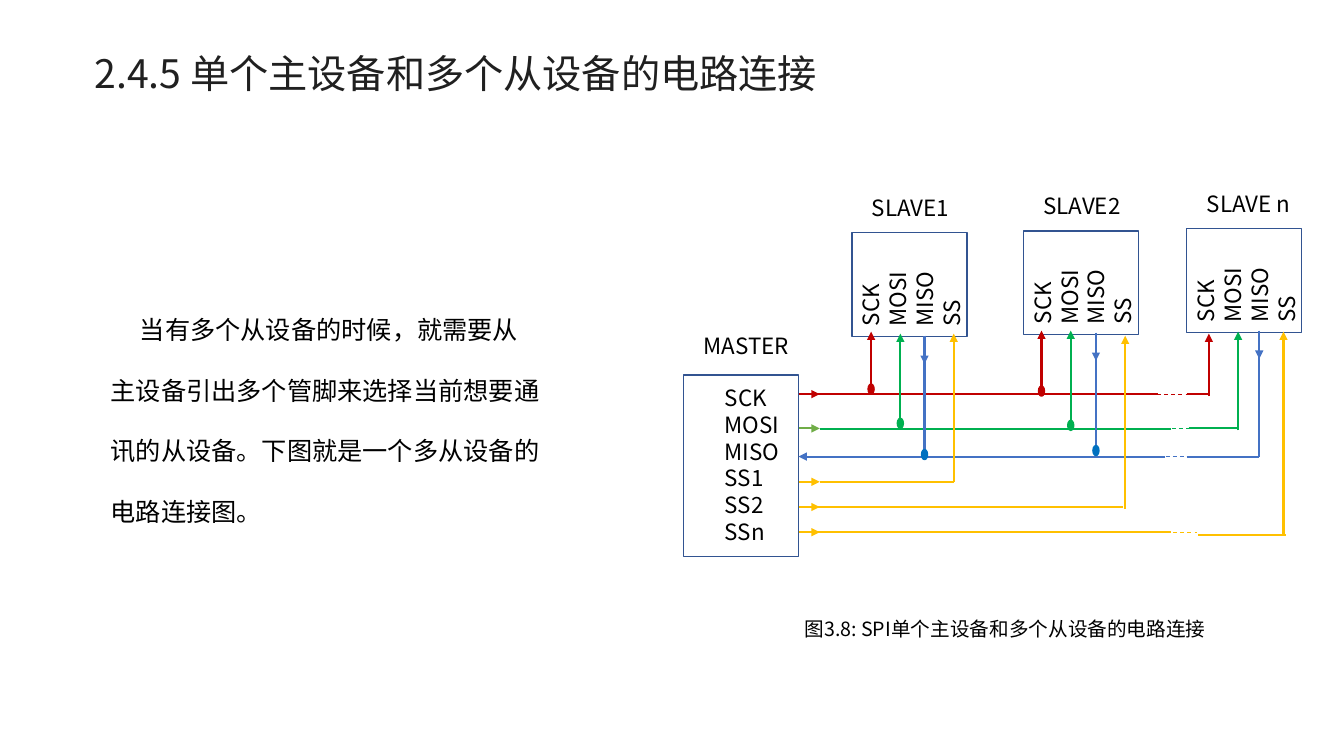
import lxml.etree
import pptx
import pptx.dml.color
import pptx.enum.dml
import pptx.enum.shapes
import pptx.enum.text
import pptx.oxml.ns
import pptx.util
from dataclasses import dataclass
from pptx.util import Inches


@dataclass(frozen=True)
class Theme:
    font: str = "Noto Sans CJK SC"
    title_color: str = "202020"
    text_color: str = "000000"
    border: str = "325491"
    clock: str = "C00000"
    mosi: str = "00B050"
    mosi_stub: str = "70AD47"
    miso: str = "4472C4"
    miso_dot: str = "0070C0"
    select: str = "FFC000"
    title_size: int = 28
    body_size: int = 18
    label_size: int = 16
    caption_size: int = 14
    wire_width: float = 1.5
    gap_width: float = 0.75
    border_width: float = 1


THEME = Theme()

TITLE = "2.4.5 单个主设备和多个从设备的电路连接"
BODY = "当有多个从设备的时候，就需要从主设备引出多个管脚来选择当前想要通讯的从设备。下图就是一个多从设备的电路连接图。"
CAPTION = "图3.8: SPI单个主设备和多个从设备的电路连接"
MASTER_PINS = ["SCK", "MOSI", "MISO", "SS1", "SS2", "SSn"]
SLAVE_PINS = ["SCK", "MOSI", "MISO", "SS"]
SLAVES = [("SLAVE1", 8.45, 2.31), ("SLAVE2", 10.15, 2.29), ("SLAVE n", 11.77, 2.27)]

MASTER_RIGHT, STUB_END = 7.92, 8.13
CLOCK_Y, MOSI_Y, MISO_Y = 3.91, 4.25, 4.53
SELECT_Y = [4.78, 5.03, 5.28]

OUTPUT_STUBS = [(THEME.clock, CLOCK_Y), (THEME.mosi_stub, MOSI_Y)] + [(THEME.select, y) for y in SELECT_Y]
RUNS = [
    (THEME.clock, CLOCK_Y, 8.01, 11.49),
    (THEME.clock, CLOCK_Y, 11.77, 11.99),
    (THEME.mosi, 4.26, STUB_END, 11.61),
    (THEME.mosi, MOSI_Y, 11.79, 12.28),
    (THEME.miso, MISO_Y, STUB_END, 11.55),
    (THEME.miso, MISO_Y, 11.77, 12.49),
    (THEME.select, SELECT_Y[0], STUB_END, 9.46),
    (THEME.select, SELECT_Y[1], 8.03, 11.14),
    (THEME.select, SELECT_Y[2], 8.03, 11.61),
    (THEME.select, 5.31, 11.88, 12.75),
]
GAPS = [
    (THEME.clock, CLOCK_Y, 11.4, 11.77),
    (THEME.mosi, MOSI_Y, 11.55, 11.79),
    (THEME.miso, MISO_Y, 11.49, 11.77),
    (THEME.select, SELECT_Y[2], 11.49, 11.87),
]
RISERS = [
    (THEME.clock, 8.64, 3.91, 3.29),
    (THEME.clock, 10.33, 3.9, 3.28),
    (THEME.clock, 11.99, 3.93, 3.31),
    (THEME.mosi, 8.93, 4.25, 3.31),
    (THEME.mosi, 10.62, 4.24, 3.28),
    (THEME.mosi, 12.28, 4.27, 3.29),
    (THEME.select, 9.46, 4.78, 3.31),
    (THEME.select, 11.16, 5.05, 3.33),
    (THEME.select, 12.73, 5.31, 3.29),
]
MISO_DROPS = [(9.17, 3.33, 4.55), (10.87, 3.3, 4.54), (12.49, 3.28, 4.53)]
DOTS = [
    (THEME.clock, 8.64, 3.86),
    (THEME.clock, 10.33, 3.88),
    (THEME.mosi, 8.93, 4.2),
    (THEME.mosi, 10.62, 4.22),
    (THEME.miso_dot, 9.17, 4.51),
    (THEME.miso_dot, 10.87, 4.47),
]
DOT_WIDTH, DOT_HEIGHT = 0.06, 0.1


def rgb(value):
    return pptx.dml.color.RGBColor.from_string(value)


def add_text(slide, box, lines, size, color=THEME.text_color, grow=True):
    shape = slide.shapes.add_textbox(*map(Inches, box))
    frame = shape.text_frame
    frame.word_wrap = True
    if grow:
        frame.auto_size = pptx.enum.text.MSO_AUTO_SIZE.SHAPE_TO_FIT_TEXT
    for index, line in enumerate(lines):
        paragraph = frame.paragraphs[0] if index == 0 else frame.add_paragraph()
        run = paragraph.add_run()
        run.text = line
        run.font.name = THEME.font
        run.font.size = pptx.util.Pt(size)
        run.font.color.rgb = rgb(color)
        east_asian = lxml.etree.SubElement(run.font._element, pptx.oxml.ns.qn("a:ea"))
        east_asian.set("typeface", THEME.font)
    return shape


def add_shape(slide, kind, box, line_color, fill_color=None):
    shape = slide.shapes.add_shape(kind, *map(Inches, box))
    shape.shadow.inherit = False
    if fill_color:
        shape.fill.solid()
        shape.fill.fore_color.rgb = rgb(fill_color)
    else:
        shape.fill.background()
    shape.line.color.rgb = rgb(line_color)
    shape.line.width = pptx.util.Pt(THEME.border_width)


def add_wire(slide, color, start, end, arrow=False, dashed=False):
    connector = slide.shapes.add_connector(
        pptx.enum.shapes.MSO_CONNECTOR.STRAIGHT, *map(Inches, start + end))
    line = connector.line
    line.color.rgb = rgb(color)
    line.width = pptx.util.Pt(THEME.gap_width if dashed else THEME.wire_width)
    if dashed:
        line.dash_style = pptx.enum.dml.MSO_LINE.DASH
    properties = connector._element.spPr
    if arrow:
        outline = properties.find(pptx.oxml.ns.qn("a:ln"))
        lxml.etree.SubElement(outline, pptx.oxml.ns.qn("a:tailEnd")).set("type", "triangle")
    lxml.etree.SubElement(properties, pptx.oxml.ns.qn("a:effectLst"))


def add_prose(slide):
    title = add_text(slide, (0.84, 0.38, 9.14, 0.75), [TITLE], THEME.title_size, THEME.title_color, grow=False)
    title.text_frame.vertical_anchor = pptx.enum.text.MSO_ANCHOR.MIDDLE
    title.text_frame.paragraphs[0].line_spacing = 0.9

    body = add_text(slide, (1, 2.77, 4.47, 2.52), [BODY], THEME.body_size)
    paragraph = body.text_frame.paragraphs[0]
    paragraph.line_spacing = 2.0
    paragraph._p.get_or_add_pPr().set("indent", str(Inches(0.29)))

    caption = add_text(slide, (7.62, 6.07, 4.7, 0.34), [CAPTION], THEME.caption_size)
    caption.text_frame.paragraphs[0].alignment = pptx.enum.text.PP_ALIGN.CENTER


def add_devices(slide):
    rectangle = pptx.enum.shapes.MSO_SHAPE.RECTANGLE
    add_shape(slide, rectangle, (6.78, 3.72, 1.14, 1.8), THEME.border)
    add_text(slide, (7.09, 3.76, 0.82, 1.72), MASTER_PINS, THEME.label_size)
    add_text(slide, (6.88, 3.25, 1.25, 0.37), ["MASTER"], THEME.label_size)
    for name, left, top in SLAVES:
        add_shape(slide, rectangle, (left, top, 1.14, 1.03), THEME.border)
        pins = add_text(slide, (left + 0.15, top - 0.01, 0.89, 1.18), SLAVE_PINS, THEME.label_size)
        pins.rotation = 270
        add_text(slide, (left + 0.1, top - 0.43, 1.25, 0.37), [name], THEME.label_size)


def add_wiring(slide):
    for color, y in OUTPUT_STUBS:
        add_wire(slide, color, (MASTER_RIGHT, y), (STUB_END, y), arrow=True)
    add_wire(slide, THEME.miso, (STUB_END, MISO_Y), (MASTER_RIGHT, MISO_Y), arrow=True)
    for wires, dashed in ((RUNS, False), (GAPS, True)):
        for color, y, left, right in wires:
            add_wire(slide, color, (left, y), (right, y), dashed=dashed)
    for color, x, bottom, top in RISERS:
        add_wire(slide, color, (x, bottom), (x, top), arrow=True)
    for x, top, bottom in MISO_DROPS:
        add_wire(slide, THEME.miso, (x, top), (x, top + 0.28), arrow=True)
        add_wire(slide, THEME.miso, (x, top + 0.15), (x, bottom))
    for color, x, y in DOTS:
        box = (x - DOT_WIDTH / 2, y - DOT_HEIGHT / 2, DOT_WIDTH, DOT_HEIGHT)
        add_shape(slide, pptx.enum.shapes.MSO_SHAPE.FLOWCHART_CONNECTOR, box, color, color)


def main():
    presentation = pptx.Presentation()
    presentation.slide_width = Inches(13.33)
    presentation.slide_height = Inches(7.5)
    slide = presentation.slides.add_slide(presentation.slide_layouts[6])
    add_prose(slide)
    add_devices(slide)
    add_wiring(slide)
    presentation.save("out.pptx")


if __name__ == "__main__":
    main()
